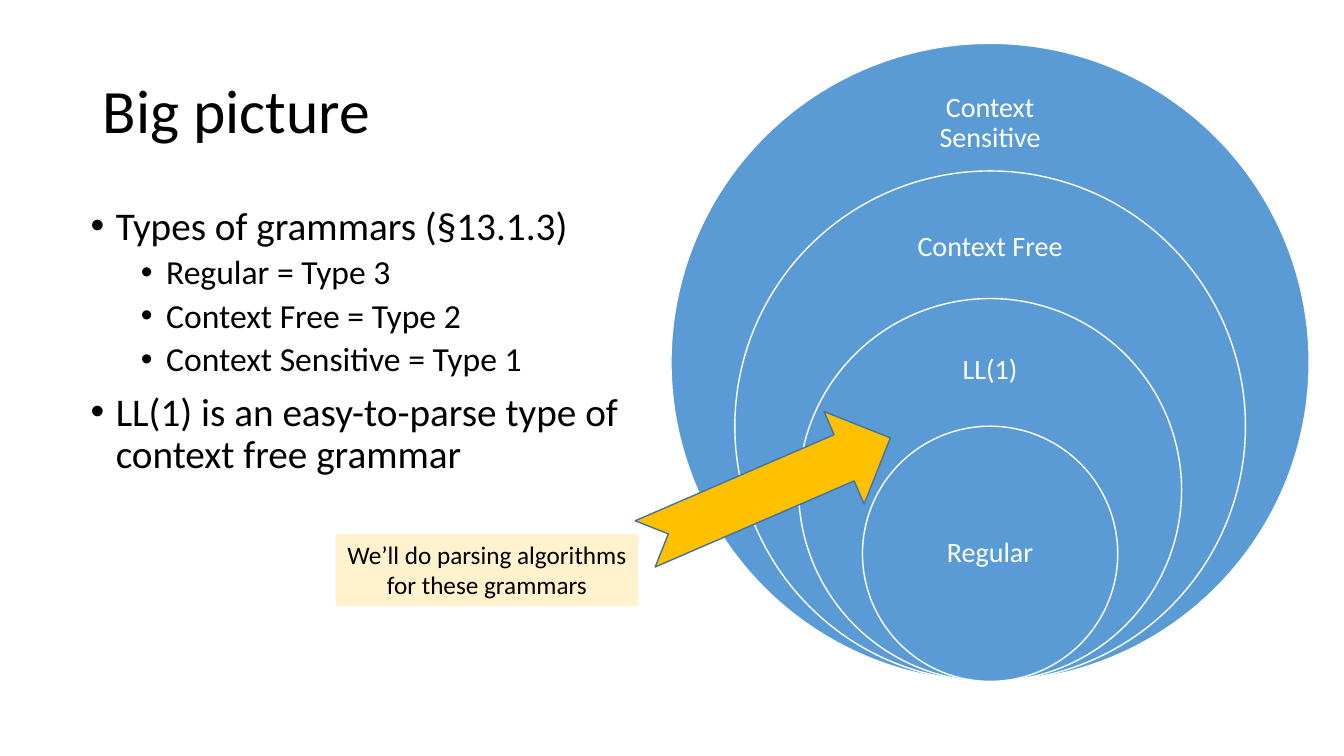
from lxml import etree
from pptx import Presentation
from pptx.dml.color import RGBColor
from pptx.enum.shapes import MSO_SHAPE
from pptx.enum.text import MSO_ANCHOR, PP_ALIGN
from pptx.oxml.ns import qn
from pptx.util import Inches, Pt

OVAL, ARROW = MSO_SHAPE.OVAL, MSO_SHAPE.NOTCHED_RIGHT_ARROW
RECTANGLE = MSO_SHAPE.RECTANGLE
MIDDLE, TOP = MSO_ANCHOR.MIDDLE, MSO_ANCHOR.TOP
CENTER, LEFT = PP_ALIGN.CENTER, PP_ALIGN.LEFT

BLACK = RGBColor(0x00, 0x00, 0x00)
WHITE = RGBColor(0xFF, 0xFF, 0xFF)
BLUE = RGBColor(0x5B, 0x9B, 0xD5)
DARK_BLUE = RGBColor(0x43, 0x73, 0x9E)
GOLD = RGBColor(0xFF, 0xC0, 0x00)
CREAM = RGBColor(0xFF, 0xF2, 0xCC)
FONT = "Calibri"

TITLE = "Big picture"
BULLETS = [  # level, text
    (0, "Types of grammars (§13.1.3)"),
    (1, "Regular = Type 3"),
    (1, "Context Free = Type 2"),
    (1, "Context Sensitive = Type 1"),
    (0, "LL(1) is an easy-to-parse type of context free grammar"),
]
LEVELS = [(28, 10, 0.25), (24, 5, 0.75)]  # text size, space before, indent
GRAMMARS = [  # name, label top and label height as shares of the ring
    ("Context Sensitive", 0.05, 0.15),
    ("Context Free", 0.06, 0.18),
    ("LL(1)", 0.075, 0.225),
    ("Regular", 0.25, 0.5),
]
NOTE = ["We’ll do parsing algorithms", "for these grammars"]

RINGS_CENTER, RINGS_BOTTOM, OUTER_RING = 9.82, 6.76, 6.33
RING_STEP = 0.2  # share of the outer ring lost at each level
LABEL_WIDTH = 1.78

deck = Presentation()
deck.slide_width, deck.slide_height = Inches(13.33), Inches(7.5)
page = deck.slides.add_slide(deck.slide_layouts[6])


def add_text_frame(place, anchor):
    box = page.shapes.add_textbox(*map(Inches, place))
    frame = box.text_frame
    frame.word_wrap = True
    frame.vertical_anchor = anchor
    return frame


def write(para, text, size, color=BLACK, align=LEFT, spacing=0.9):
    para.alignment = align
    para.line_spacing = spacing
    span = para.add_run()
    span.text = text
    span.font.name, span.font.size = FONT, Pt(size)
    span.font.color.rgb = color


def next_para(frame, index):
    return frame.add_paragraph() if index else frame.paragraphs[0]


def add_bullet(para, indent):
    """Give the paragraph a round bullet hanging a quarter inch."""
    props = para._p.get_or_add_pPr()
    props.set("marL", str(Inches(indent)))
    props.set("indent", str(Inches(-0.25)))
    etree.SubElement(props, qn("a:buFont")).set("typeface", "Arial")
    etree.SubElement(props, qn("a:buChar")).set("char", "•")


def add_figure(kind, place, fill, line=None):
    figure = page.shapes.add_shape(kind, *map(Inches, place))
    figure.shadow.inherit = False
    figure.fill.solid()
    figure.fill.fore_color.rgb = fill
    if line is None:
        figure.line.fill.background()
    else:
        figure.line.color.rgb = line
        figure.line.width = Pt(1)
    return figure


write(add_text_frame((0.92, 0.4, 11.5, 1.45), MIDDLE).paragraphs[0], TITLE, 44)

body = add_text_frame((0.8, 2, 5.67, 4.76), TOP)
for index, (level, text) in enumerate(BULLETS):
    size, before, indent = LEVELS[level]
    para = next_para(body, index)
    para.level = level
    add_bullet(para, indent)
    para.space_before = Pt(before if index else 0)
    write(para, text, size)

for index, (name, label_top, label_height) in enumerate(GRAMMARS):
    ring = OUTER_RING * (1 - RING_STEP * index)
    top = RINGS_BOTTOM - ring
    add_figure(OVAL, (RINGS_CENTER - ring / 2, top, ring, ring), BLUE, WHITE)
    label = add_text_frame((RINGS_CENTER - LABEL_WIDTH / 2, top + ring * label_top,
                            LABEL_WIDTH, ring * label_height), MIDDLE)
    label.margin_left = label.margin_right = Inches(0.15)
    label.margin_top = label.margin_bottom = Inches(0.15)
    write(label.paragraphs[0], name, 20, WHITE, CENTER)

arrow = add_figure(ARROW, (6.29, 4.37, 2.65, 1), GOLD, DARK_BLUE)
arrow.rotation = 336.6

note = add_figure(RECTANGLE, (3.33, 5.3, 3, 0.71), CREAM).text_frame
note.word_wrap = False
note.vertical_anchor = TOP
for index, text in enumerate(NOTE):
    write(next_para(note, index), text, 18, align=CENTER, spacing=1.0)

deck.save("out.pptx")
